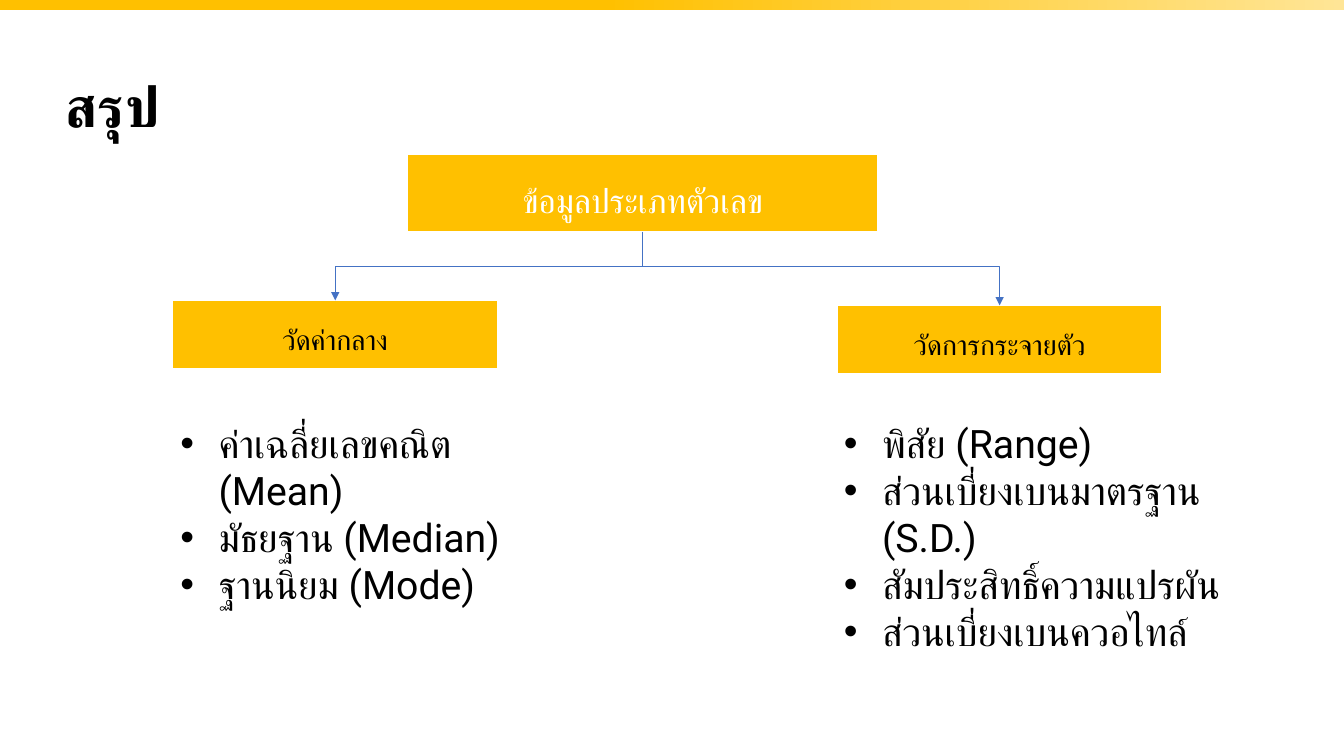
from lxml import etree
from pptx import Presentation
from pptx.dml.color import RGBColor
from pptx.enum.shapes import MSO_CONNECTOR, MSO_SHAPE
from pptx.enum.text import MSO_ANCHOR, MSO_AUTO_SIZE, PP_ALIGN
from pptx.oxml.ns import qn
from pptx.util import Inches, Pt

ELBOW, RECTANGLE = MSO_CONNECTOR.ELBOW, MSO_SHAPE.RECTANGLE
TOP, MIDDLE = MSO_ANCHOR.TOP, MSO_ANCHOR.MIDDLE
LEFT, CENTER = PP_ALIGN.LEFT, PP_ALIGN.CENTER
NO_FIT = MSO_AUTO_SIZE.NONE

AMBER = RGBColor(0xFF, 0xC0, 0x00)
PALE_AMBER = RGBColor(0xFF, 0xE5, 0x96)
BLUE = RGBColor(0x44, 0x72, 0xC4)
WHITE = RGBColor(0xFF, 0xFF, 0xFF)
BLACK = RGBColor(0x00, 0x00, 0x00)

# Content: places are (left, top, width, height) in inches
TITLE = ("สรุป", (0.55, 0.4, 12.23, 1.29))
ROOT = ("ข้อมูลประเภทตัวเลข", (4.04, 1.53, 4.67, 0.77))
BRANCHES = [
    {"heading": "วัดค่ากลาง", "box": (1.71, 2.98, 3.23, 0.68),
     "measures": ["ค่าเฉลี่ยเลขคณิต (Mean)", "มัธยฐาน (Median)", "ฐานนิยม (Mode)"],
     "list": (1.19, 4.11, 3.96, 1.51)},
    {"heading": "วัดการกระจายตัว", "box": (8.3, 3.03, 3.23, 0.68),
     "measures": ["พิสัย (Range)", "ส่วนเบี่ยงเบนมาตรฐาน (S.D.)",
                  "สัมประสิทธิ์ความแปรผัน", "ส่วนเบี่ยงเบนควอไทล์"],
     "list": (7.77, 4.11, 4.59, 1.99)},
]
BEND_Y = 2.64


def inches(place):
    return [Inches(value) for value in place]


def move(shape, place):
    shape.left, shape.top, shape.width, shape.height = inches(place)


def write(shape, lines, size, color=BLACK, font="Arial", bold=False, align=LEFT,
          anchor=TOP, spacing=1.0, bullet=False):
    frame = shape.text_frame
    frame.word_wrap = True
    frame.auto_size = NO_FIT
    frame.vertical_anchor = anchor
    for index, line in enumerate(lines):
        paragraph = frame.paragraphs[0] if index == 0 else frame.add_paragraph()
        paragraph.alignment = align
        paragraph.line_spacing = spacing
        paragraph.space_before = Pt(0)
        properties = paragraph._p.get_or_add_pPr()
        properties.set("marL", str(Inches(0.88) if bullet else 0))
        properties.set("indent", str(Inches(-0.38) if bullet else 0))
        if bullet:
            etree.SubElement(properties, qn("a:buFont"), typeface="Arial")
            etree.SubElement(properties, qn("a:buChar"), char="•")
        else:
            etree.SubElement(properties, qn("a:buNone"))
        run = paragraph.add_run()
        run.text = line
        run.font.size, run.font.bold, run.font.name = Pt(size), bold, font
        run.font.color.rgb = color
        etree.SubElement(run._r.get_or_add_rPr(), qn("a:cs"), typeface=font)


def paint_box(shape):
    shape.fill.solid()
    shape.fill.fore_color.rgb = AMBER
    shape.line.color.rgb = WHITE
    shape.line.width = Pt(1.5)
    shape.shadow.inherit = False


def add_branch_arrow(shapes, root, box):
    """Elbow that leaves the root downwards, so its frame is turned a quarter."""
    start_x, start_y = root[0] + root[2] / 2, root[1] + root[3]
    end_x, end_y = box[0] + box[2] / 2, box[1]
    mid_x, mid_y = (start_x + end_x) / 2, (start_y + end_y) / 2
    drop, reach = end_y - start_y, abs(end_x - start_x)
    goes_right = end_x > start_x
    half = -drop / 2 if goes_right else drop / 2
    arrow = shapes.add_connector(ELBOW, *inches(
        (mid_x - half, mid_y - reach / 2, mid_x + half, mid_y + reach / 2)))
    # A begin point right of the end point flips the frame
    arrow.rotation = 270 if goes_right else 90
    arrow.line.color.rgb = BLUE
    arrow.line.width = Pt(0.5)
    bend = round((BEND_Y - start_y) / drop * 100000)
    adjustments = arrow._element.spPr.find(qn("a:prstGeom")).find(qn("a:avLst"))
    etree.SubElement(adjustments, qn("a:gd"), name="adj1", fmla=f"val {bend}")
    etree.SubElement(arrow.line._get_or_add_ln(), qn("a:tailEnd"), type="triangle")
    etree.SubElement(arrow._element.spPr, qn("a:effectLst"))


def main():
    deck = Presentation()
    deck.slide_width, deck.slide_height = Inches(13.33), Inches(7.5)
    slide = deck.slides.add_slide(deck.slide_layouts[1])
    shapes = slide.shapes

    # Top band
    band = shapes.add_shape(RECTANGLE, *inches((0, 0, 13.33, 0.1)))
    band.fill.gradient()
    band.fill.gradient_angle = 0
    stops = zip(band.fill.gradient_stops, [(0.45, AMBER), (1, PALE_AMBER)])
    for stop, (position, color) in stops:
        stop.position, stop.color.rgb = position, color
    band.line.fill.background()
    band.shadow.inherit = False

    # Title and root of the tree
    move(shapes.title, TITLE[1])
    write(shapes.title, [TITLE[0]], 40, bold=True, anchor=MIDDLE)
    root = slide.placeholders[1]
    move(root, ROOT[1])
    paint_box(root)
    write(root, [ROOT[0]], 24, color=WHITE, align=CENTER, spacing=1.5)

    # Branches with their measures
    for branch in BRANCHES:
        heading = shapes.add_shape(RECTANGLE, *inches(branch["box"]))
        paint_box(heading)
        write(heading, [branch["heading"]], 20, align=CENTER, spacing=1.5)
        measures = shapes.add_textbox(*inches(branch["list"]))
        write(measures, branch["measures"], 28, font="Roboto", bullet=True)
        add_branch_arrow(shapes, ROOT[1], branch["box"])

    deck.save("out.pptx")


if __name__ == "__main__":
    main()
